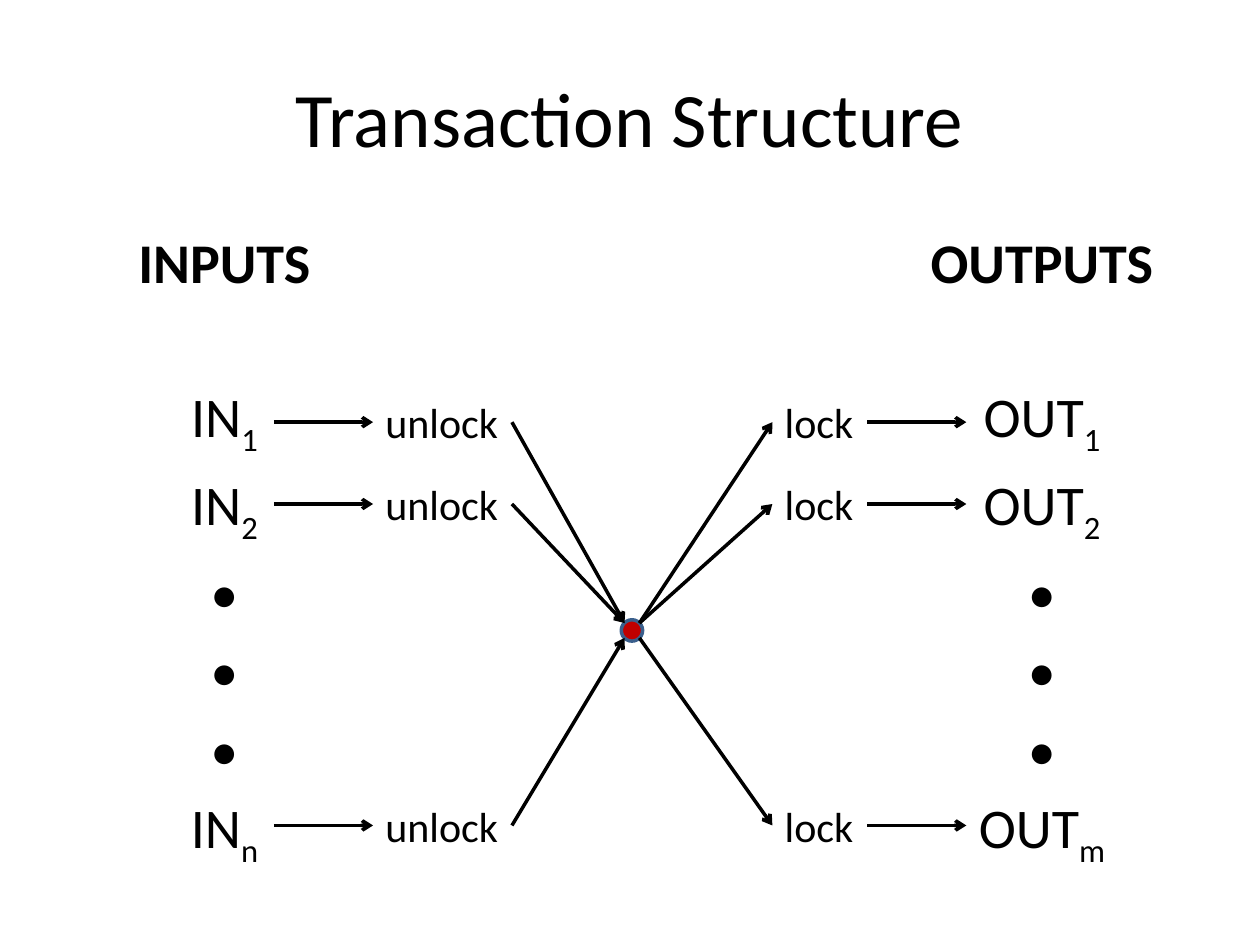
from lxml import etree
from pptx import Presentation
from pptx.dml.color import RGBColor
from pptx.enum import shapes, text
from pptx.oxml.ns import qn
from pptx.util import Cm, Pt

BLACK = RGBColor(0x00, 0x00, 0x00)
HUB_RED = RGBColor(0xC0, 0x00, 0x00)
HUB_EDGE = RGBColor(0x3A, 0x5F, 0x8C)
FONT = "Calibri"

ROW_CENTERS = (8.51, 10.16, 16.64)
HUB_X, HUB_Y, HUB_SIZE = 12.74, 12.71, 0.43
HUB_REACH = 0.15  # from the hub's center to its diagonal edge points
LABEL_HEIGHT = 1.27
ARROW_LENGTH = 2.0
UNLOCK_LEFT, UNLOCK_WIDTH = 7.52, 2.8
LOCK_LEFT, LOCK_WIDTH = 15.57, 1.91


def write(paragraph, words, size, bold=False, subscript=False, align=None):
    run = paragraph.add_run()
    run.text = words
    font = run.font
    font.name, font.size, font.bold = FONT, Pt(size), bold
    font.color.rgb = BLACK
    if subscript:
        run._r.get_or_add_rPr().set("baseline", "-25000")
    if align is not None:
        paragraph.alignment = align


def place(shape, left, top, width, height):
    shape.left, shape.top = Cm(left), Cm(top)
    shape.width, shape.height = Cm(width), Cm(height)


def remove_bullet(paragraph):
    properties = paragraph._p.get_or_add_pPr()
    properties.set("marL", "0")
    properties.set("indent", "0")
    etree.SubElement(properties, qn("a:buNone"))


def fill_column(body, left, heading, name, last_index):
    """List the heading, the first two items, an ellipsis and the last item."""
    place(body, left, 4.45, 6.35, 13.13)
    frame = body.text_frame
    frame.auto_size = text.MSO_AUTO_SIZE.NONE
    lines = [(heading, ""), (name, "1"), (name, "2")]
    lines += [("•", "")] * 3 + [(name, last_index)]
    for number, (words, index) in enumerate(lines):
        paragraph = frame.add_paragraph() if number else frame.paragraphs[0]
        if number == 1:
            paragraph.space_before = Pt(50)
        remove_bullet(paragraph)
        write(paragraph, words, 32, bold=number == 0,
              align=text.PP_ALIGN.CENTER)
        if index:
            write(paragraph, index, 32, subscript=True)


def add_label(slide, words, left, center, width):
    box = slide.shapes.add_textbox(Cm(left), Cm(center - LABEL_HEIGHT / 2),
                                   Cm(width), Cm(LABEL_HEIGHT))
    box.text_frame.word_wrap = False
    box.text_frame.auto_size = text.MSO_AUTO_SIZE.SHAPE_TO_FIT_TEXT
    write(box.text_frame.paragraphs[0], words, 24)


def add_arrow(slide, start, end):
    arrow = slide.shapes.add_connector(
        shapes.MSO_CONNECTOR.STRAIGHT, *map(Cm, start + end))
    arrow.line.color.rgb = BLACK
    arrow.line.width = Pt(2)
    etree.SubElement(arrow.line._get_or_add_ln(), qn("a:tailEnd"), type="arrow")
    etree.SubElement(arrow._element.spPr, qn("a:effectLst"))


def add_hub(slide):
    hub = slide.shapes.add_shape(
        shapes.MSO_SHAPE.OVAL, Cm(HUB_X - HUB_SIZE / 2),
        Cm(HUB_Y - HUB_SIZE / 2), Cm(HUB_SIZE), Cm(HUB_SIZE))
    hub.shadow.inherit = False
    hub.fill.solid()
    hub.fill.fore_color.rgb = HUB_RED
    hub.line.color.rgb = HUB_EDGE
    hub.line.width = Pt(2)


def add_flow(slide, center):
    """Draw one input and one output path through the hub."""
    unlock_right = UNLOCK_LEFT + UNLOCK_WIDTH
    lock_right = LOCK_LEFT + LOCK_WIDTH
    hub_edge = HUB_Y + (HUB_REACH if center > HUB_Y else -HUB_REACH)
    add_label(slide, "unlock", UNLOCK_LEFT, center, UNLOCK_WIDTH)
    add_label(slide, "lock", LOCK_LEFT, center, LOCK_WIDTH)
    add_arrow(slide, (UNLOCK_LEFT - ARROW_LENGTH, center), (UNLOCK_LEFT, center))
    add_arrow(slide, (unlock_right, center), (HUB_X - HUB_REACH, hub_edge))
    add_arrow(slide, (HUB_X + HUB_REACH, hub_edge), (LOCK_LEFT, center))
    add_arrow(slide, (lock_right, center), (lock_right + ARROW_LENGTH, center))


def main():
    deck = Presentation()
    deck.slide_width, deck.slide_height = Cm(25.4), Cm(19.05)
    slide = deck.slides.add_slide(deck.slide_layouts.get_by_name("Two Content"))
    title, inputs, outputs = list(slide.placeholders)[:3]
    place(title, 1.27, 0.76, 22.86, 3.18)
    write(title.text_frame.paragraphs[0], "Transaction Structure", 44,
          align=text.PP_ALIGN.CENTER)
    fill_column(inputs, 1.35, "INPUTS", "IN", "n")
    fill_column(outputs, 17.83, "OUTPUTS", "OUT", "m")
    add_hub(slide)
    for center in ROW_CENTERS:
        add_flow(slide, center)
    deck.save("out.pptx")


if __name__ == "__main__":
    main()
